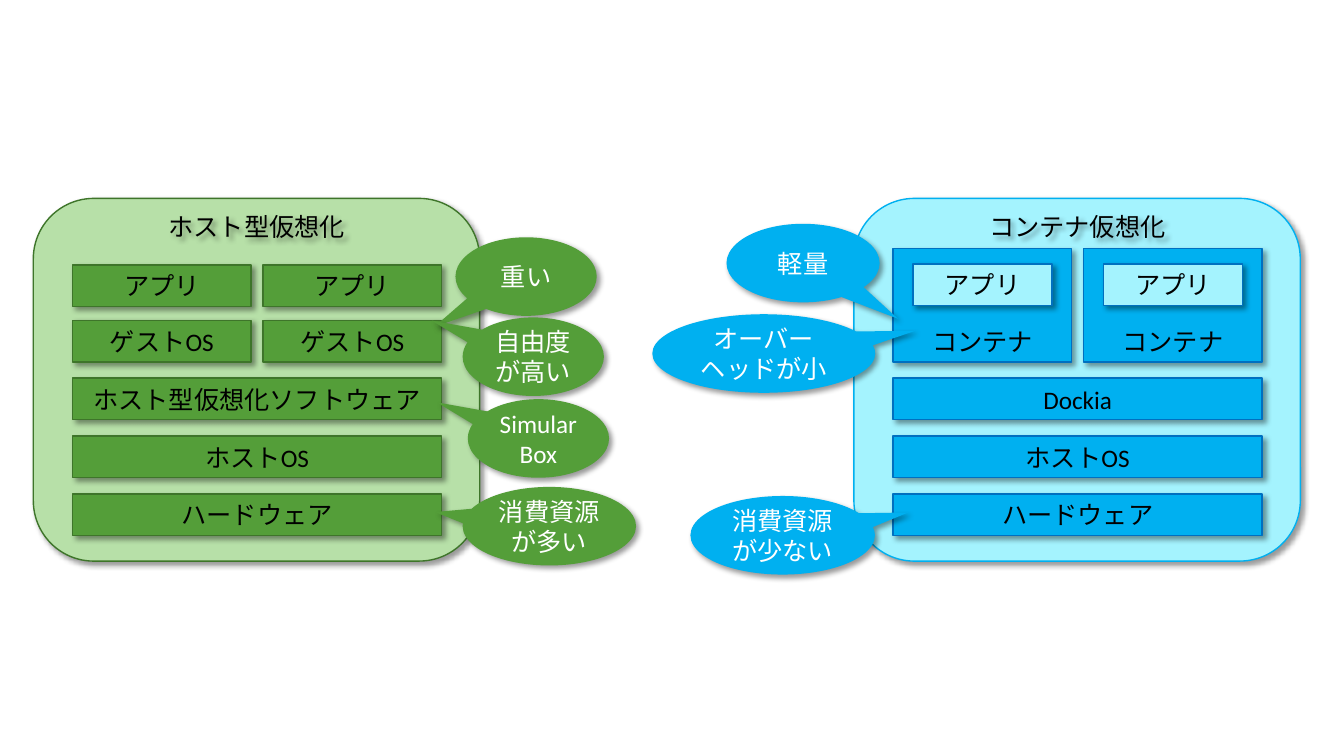
"""Build a slide that compares host virtualization with container virtualization."""
from lxml.etree import SubElement
from pptx import Presentation
from pptx.dml.color import RGBColor
from pptx.enum.lang import MSO_LANGUAGE_ID
from pptx.enum.shapes import MSO_SHAPE
from pptx.enum.text import MSO_ANCHOR, PP_ALIGN
from pptx.oxml.ns import qn
from pptx.util import Cm, Pt

COLORS = {
    "green": "549E39", "pale green": "B7E0A8", "dark green": "3E752A",
    "blue": "00B0F0", "pale blue": "A4F3FE", "dark blue": "0070C0",
    "black": "000000", "white": "FFFFFF",
}
PANELS = [
    {"x": 0.84, "title": "ホスト型仮想化", "fill": "pale green", "edge": "dark green",
     "main": "green", "line": "dark green",
     "rows": ["ホスト型仮想化ソフトウェア", "ホストOS", "ハードウェア"]},
    {"x": 21.52, "title": "コンテナ仮想化", "fill": "pale blue", "edge": "blue",
     "main": "blue", "line": "dark blue",
     "rows": ["Dockia", "ホストOS", "ハードウェア"]},
]
APP, GUEST, BOX = "アプリ", "ゲストOS", "コンテナ"
NOTES = [
    ("重い", "green", 11.48, 5.98, 3.56, (-0.65, 0.64)),
    ("軽量", "blue", 18.31, 5.64, 3.86, (0.62, 0.71)),
    ("オーバーヘッドが小", "blue", 16.44, 7.92, 5.62, (0.68, -0.29)),
    ("消費資源が少ない", "blue", 17.4, 12.5, 4.65, (0.68, -0.29)),
    ("消費資源が多い", "green", 11.66, 12.27, 4.37, (-0.66, -0.18)),
    ("自由度が高い", "green", 11.66, 8, 3.56, (-0.72, -0.46)),
    ("Simular Box", "green", 11.79, 10.06, 3.56, (-0.72, -0.46)),
]
TOP, WIDE, TALL = 5, 11.25, 9.14
INSET, ROW, HIGH = 0.99, 9.3, 1.05
PITCH, BASE = 1.46, 9.53
HALF, STEP = 4.5, 4.8
NOTE = 1.98


def color(name):
    return RGBColor.from_string(COLORS[name])


def shade(shape):
    shape.shadow.inherit = False
    effects = shape._element.spPr.find(qn("a:effectLst"))
    cast = SubElement(effects, qn("a:outerShdw"), blurRad=str(Pt(4)), dist=str(Pt(3)),
                      dir="2700000", algn="tl", rotWithShape="0")
    tone = SubElement(cast, qn("a:srgbClr"), val=COLORS["black"])
    SubElement(tone, qn("a:alpha"), val="40000")


def write(shape, text, ink="black", anchor=MSO_ANCHOR.MIDDLE):
    frame = shape.text_frame
    frame.word_wrap = True
    frame.vertical_anchor = anchor
    para = frame.paragraphs[0]
    para.alignment = PP_ALIGN.CENTER
    run = para.add_run()
    run.text = text
    run.font.size = Pt(18)
    run.font.name = "Calibri"
    run.font.language_id = MSO_LANGUAGE_ID.JAPANESE
    run.font.color.rgb = color(ink)


def draw(slide, kind, box, fill, line=None):
    shape = slide.shapes.add_shape(kind, *map(Cm, box))
    shape.fill.solid()
    shape.fill.fore_color.rgb = color(fill)
    if line:
        shape.line.color.rgb = color(line)
        shape.line.width = Pt(1)
    else:
        shape.line.fill.background()
    shade(shape)
    return shape


def bar(slide, text, box, fill, line, anchor=MSO_ANCHOR.MIDDLE):
    write(draw(slide, MSO_SHAPE.RECTANGLE, box, fill, line), text, anchor=anchor)


def panel(slide, part):
    x, main, line = part["x"], part["main"], part["line"]
    draw(slide, MSO_SHAPE.ROUNDED_RECTANGLE, (x, TOP, WIDE, TALL), part["fill"], part["edge"])
    head = slide.shapes.add_textbox(*map(Cm, (x + 2.47, 5.19, 6.32, 1.03)))
    write(head, part["title"], anchor=MSO_ANCHOR.TOP)
    shade(head)
    for i, text in enumerate(part["rows"]):
        bar(slide, text, (x + INSET, BASE + i * PITCH, ROW, HIGH), main, line)
    for i in range(2):
        left = x + INSET + i * STEP
        if main == "green":
            bar(slide, GUEST, (left, BASE - PITCH, HALF, HIGH), main, line)
            bar(slide, APP, (left, 6.68, HALF, HIGH), main, line)
        else:
            bar(slide, BOX, (left, 6.27, HALF, 2.85), main, line, MSO_ANCHOR.BOTTOM)
            bar(slide, APP, (left + 0.5, 6.65, HALF - 1, HIGH), part["fill"], line)


def main():
    deck = Presentation()
    deck.slide_width, deck.slide_height = Cm(33.87), Cm(19.05)
    slide = deck.slides.add_slide(deck.slide_layouts[6])
    for part in PANELS:
        panel(slide, part)
    for text, fill, x, y, width, tip in NOTES:
        note = draw(slide, MSO_SHAPE.OVAL_CALLOUT, (x, y, width, NOTE), fill)
        note.adjustments[0], note.adjustments[1] = tip
        write(note, text, "white")
    deck.save("out.pptx")


if __name__ == "__main__":
    main()
